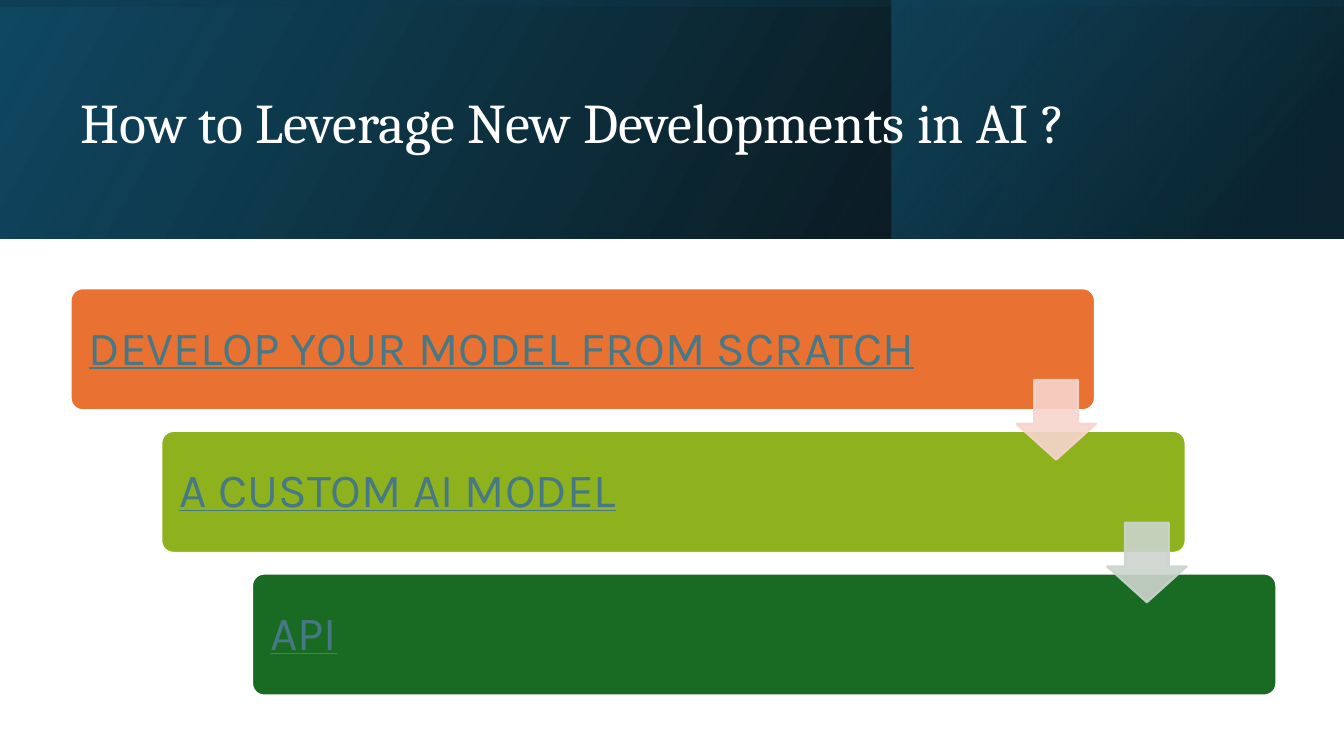
import pptx
import pptx.util
import pptx.dml.color
import pptx.enum.shapes
import pptx.enum.text
import pptx.oxml
import pptx.oxml.ns
from pptx.util import Inches

SHAPE = pptx.enum.shapes.MSO_SHAPE
MIDDLE = pptx.enum.text.MSO_ANCHOR.MIDDLE
STEPS = [
    ("DEVELOP YOUR MODEL FROM SCRATCH", "E97132", 8.85),
    ("A CUSTOM AI MODEL", "8EB21E", 8.4),
    ("API", "196B24", 8.4),
]
ARROWS = ["F7D5CE", "CCD4CD"]


def rgb(value):
    """Return the colour for a hex string."""
    return pptx.dml.color.RGBColor.from_string(value)


def set_alpha(fill_xml, percent):
    """Make every colour below the element partly transparent."""
    for clr in fill_xml.iter(pptx.oxml.ns.qn("a:srgbClr")):
        alpha = clr.makeelement(pptx.oxml.ns.qn("a:alpha"), {"val": str(percent * 1000)})
        clr.append(alpha)


def add_box(s, kind, left, top, width, height):
    """Add a preset shape without a shadow."""
    sp = s.shapes.add_shape(kind, Inches(left), Inches(top), Inches(width), Inches(height))
    sp.shadow.inherit = False
    return sp


def add_gradient(s, left, top, width, height, stops, angle):
    """Add a borderless rectangle with (position, colour, opacity) stops."""
    sp = add_box(s, SHAPE.RECTANGLE, left, top, width, height)
    sp.line.fill.background()
    stop_xml = "".join(
        f'<a:gs pos="{pos * 1000}"><a:srgbClr val="{color}">'
        f'<a:alpha val="{opacity * 1000}"/></a:srgbClr></a:gs>'
        for pos, color, opacity in stops
    )
    grad = pptx.oxml.parse_xml(
        f'<a:gradFill {pptx.oxml.ns.nsdecls("a")} rotWithShape="1">'
        f'<a:gsLst>{stop_xml}</a:gsLst><a:lin ang="{angle * 60000}" scaled="0"/></a:gradFill>'
    )
    sp.element.spPr.find(pptx.oxml.ns.qn("a:prstGeom")).addnext(grad)


def format_run(r, size, font, color):
    """Set the size, font and colour of a run."""
    r.font.size = pptx.util.Pt(size)
    r.font.name = font
    r.font.color.rgb = rgb(color)


def add_header(s, left, top, width, height):
    """Draw the layered gradient banner and place the title on it."""
    add_gradient(s, left, top, width, height,
                 [(0, "104862", 100), (100, "000000", 96)], 30)
    add_gradient(s, left + 8.84, top, width - 8.84, height,
                 [(0, "156082", 48), (81, "0B3041", 68)], 40)
    add_gradient(s, left, top, width, height,
                 [(23, "104862", 16), (99, "000000", 45)], 100)
    title = s.shapes.title
    s.shapes._spTree.append(title.element)
    title.left, title.top = Inches(left + 0.7), Inches(top + 0.38)
    title.width, title.height = Inches(11.44), Inches(1.72)
    tf = title.text_frame
    tf.text = "How to Leverage New Developments in AI ?"
    tf.vertical_anchor = MIDDLE
    p = tf.paragraphs[0]
    p.alignment = pptx.enum.text.PP_ALIGN.LEFT
    p.line_spacing = 0.9
    format_run(p.runs[0], 40, "Cambria", "FFFFFF")


def add_step(s, left, top, width, height, label, color, text_width):
    """Draw one rounded bar with its underlined label."""
    sp = add_box(s, SHAPE.ROUNDED_RECTANGLE, left, top, width, height)
    sp.adjustments[0] = 0.1
    sp.fill.solid()
    sp.fill.fore_color.rgb = rgb(color)
    sp.line.color.rgb = rgb("FFFFFF")
    sp.line.width = pptx.util.Pt(1.5)
    tb = s.shapes.add_textbox(Inches(left + 0.04), Inches(top + 0.04),
                              Inches(text_width), Inches(height - 0.07))
    tf = tb.text_frame
    tf.word_wrap = True
    tf.vertical_anchor = MIDDLE
    tf.margin_left = tf.margin_right = tf.margin_top = tf.margin_bottom = Inches(0.14)
    tf.text = label
    p = tf.paragraphs[0]
    p.line_spacing = 0.9
    format_run(p.runs[0], 34, "Karla", "467886")
    p.runs[0].font.underline = True


def add_arrow(s, left, top, size, color):
    """Draw one translucent down arrow."""
    sp = add_box(s, SHAPE.DOWN_ARROW, left, top, size, size)
    sp.adjustments[0], sp.adjustments[1] = 0.55, 0.45
    sp.fill.solid()
    sp.fill.fore_color.rgb = rgb(color)
    sp.line.color.rgb = rgb(color)
    sp.line.width = pptx.util.Pt(1.5)
    set_alpha(sp.element.spPr, 90)


def add_staircase(s, left, top, width, height):
    """Place the bars as descending steps joined by arrows."""
    bar_w, bar_h = 10.16, 1.21
    dx = (width - bar_w) / (len(STEPS) - 1)
    dy = (height - bar_h) / (len(STEPS) - 1)
    for i, (label, color, text_width) in enumerate(STEPS):
        add_step(s, left + i * dx, top + i * dy, bar_w, bar_h, label, color, text_width)
    for i, color in enumerate(ARROWS):
        add_arrow(s, left + 9.38 + i * dx, top + 0.91 + i * dy, 0.79, color)


def main():
    """Build the slide and save it."""
    prs = pptx.Presentation()
    prs.slide_width, prs.slide_height = Inches(13.33), Inches(7.5)
    s = prs.slides.add_slide(prs.slide_layouts[5])
    s.background.fill.solid()
    s.background.fill.fore_color.rgb = rgb("FFFFFF")
    add_header(s, 0, 0, 13.33, 2.37)
    add_staircase(s, 0.7, 2.86, 11.96, 4.04)
    prs.save("out.pptx")


if __name__ == "__main__":
    main()
